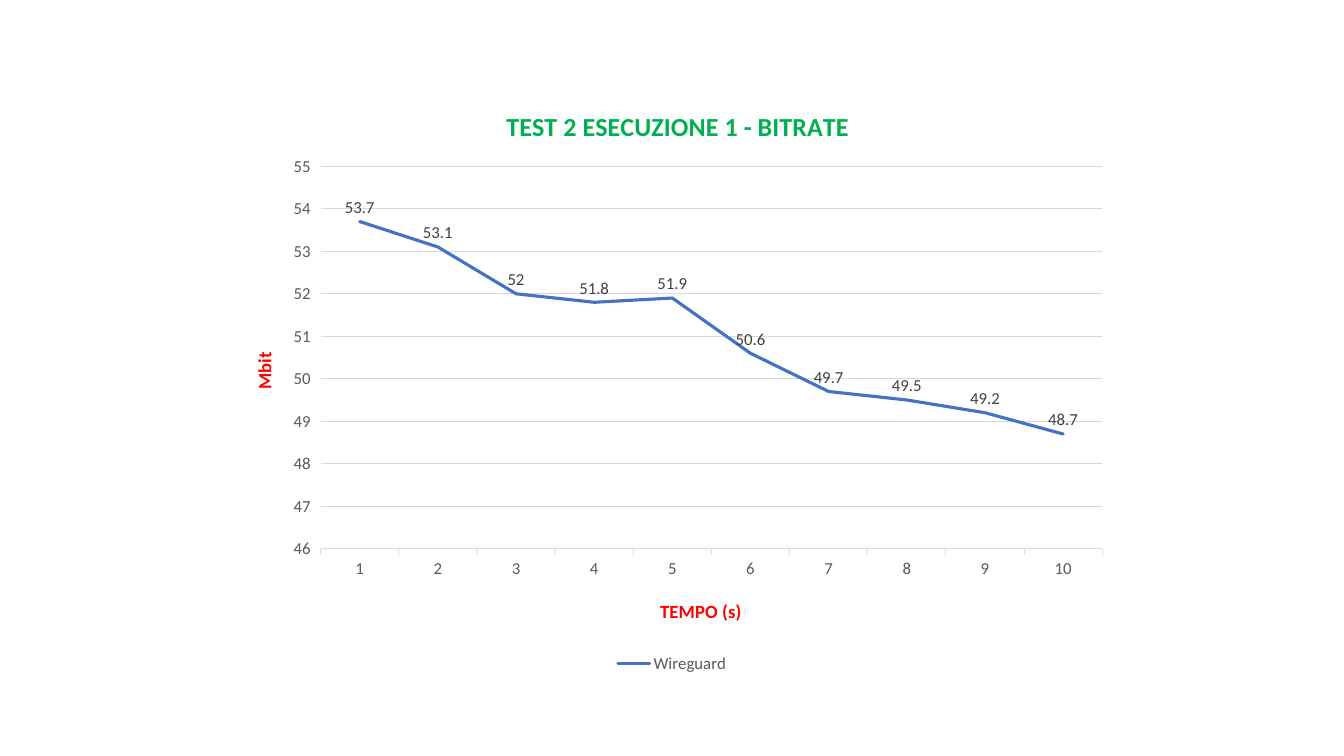
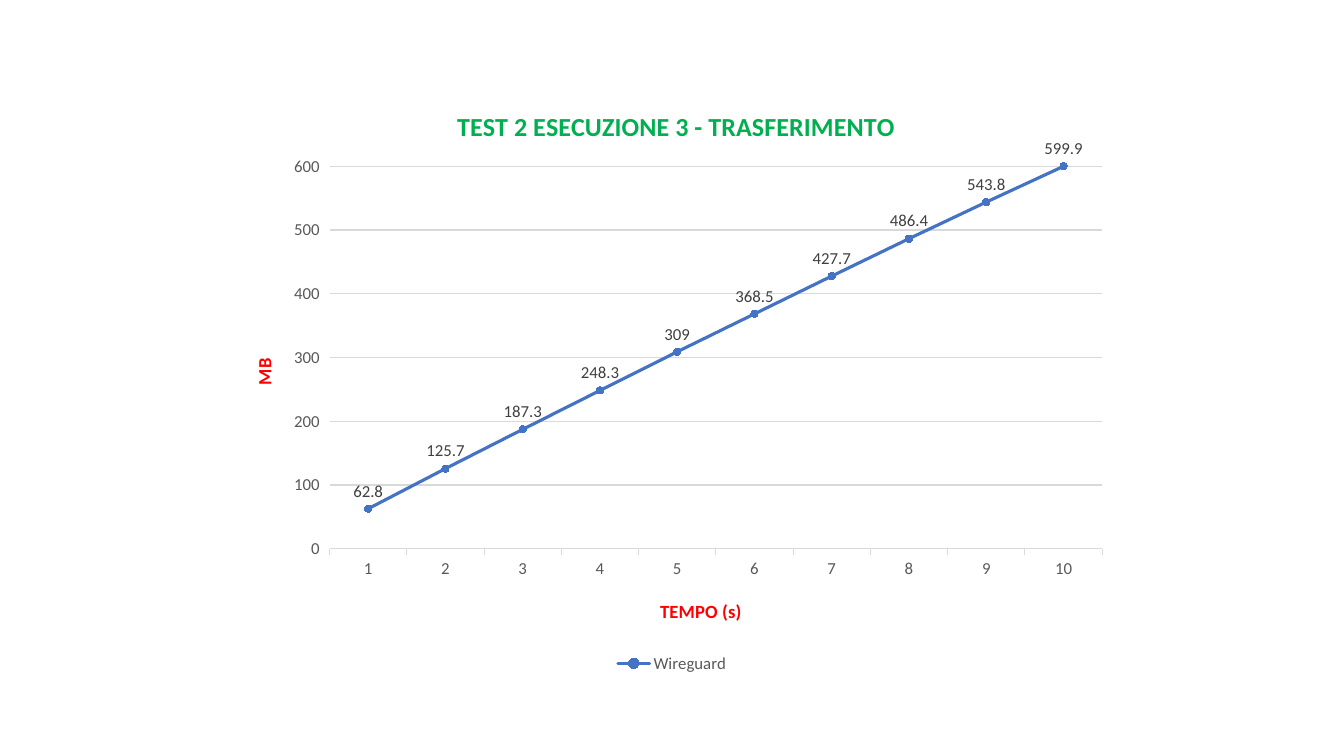
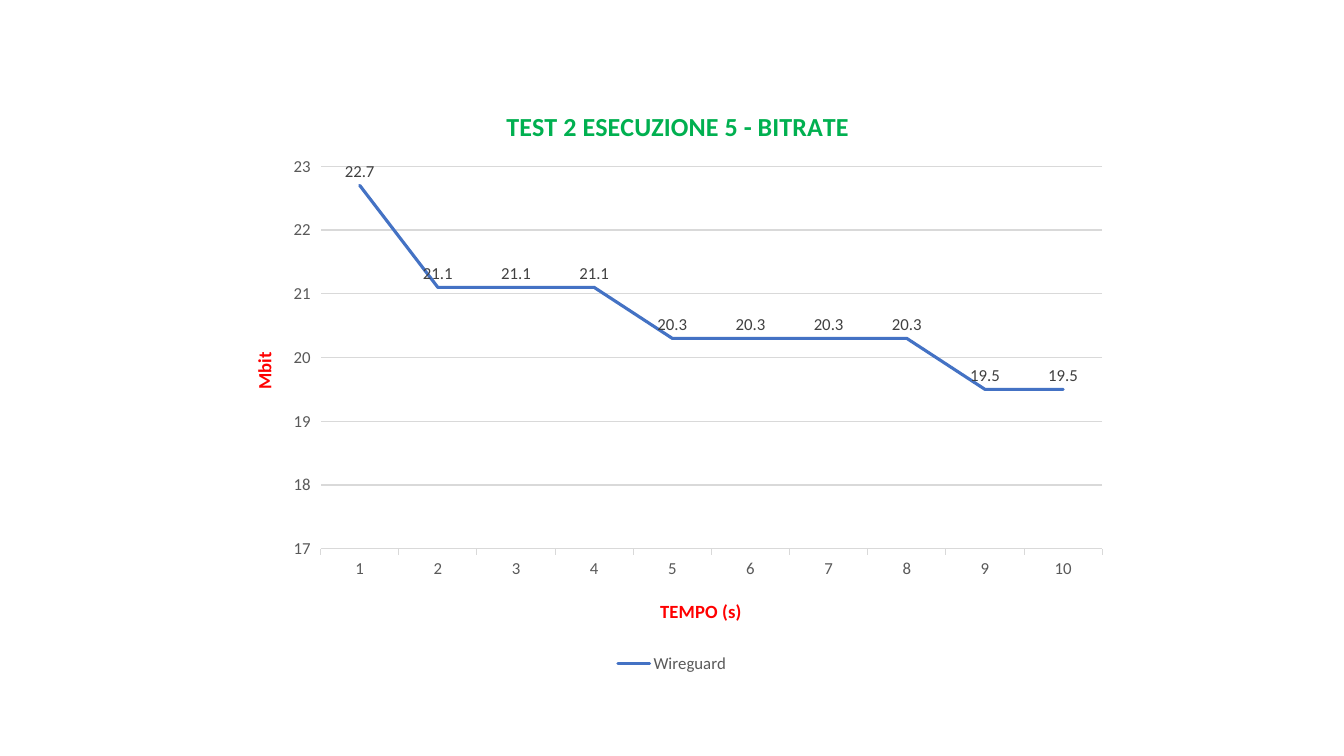
from lxml.etree import SubElement
from pptx import Presentation
from pptx.chart.data import CategoryChartData
from pptx.dml.color import RGBColor
from pptx.enum.chart import (
    XL_CHART_TYPE as ChartType,
    XL_LABEL_POSITION as LabelPosition,
    XL_LEGEND_POSITION as LegendPosition,
    XL_MARKER_STYLE as MarkerStyle,
    XL_TICK_MARK as TickMark,
)
from pptx.oxml.ns import qn
from pptx.util import Inches, Pt

COLORS = {
    "title": "00B050",
    "axis_title": "FF0000",
    "axis_text": "595959",
    "label": "404040",
    "grid": "D9D9D9",
    "series": "4472C4",
}
FONT = "Calibri"
SERIES_NAME = "Wireguard"
TIME_TITLE = "TEMPO (s)"
SECONDS = [str(second) for second in range(1, 11)]
CHART_BOX = (Inches(2.22), Inches(0.79), Inches(8.89), Inches(5.93))
PLOT_TOP, PLOT_RIGHT, PLOT_HEIGHT = 0.145, 0.98, 0.64

TESTS = [
    {
        "title": "TEST 2 ESECUZIONE 1 - BITRATE",
        "unit": "Mbit",
        "values": [53.7, 53.1, 52, 51.8, 51.9, 50.6, 49.7, 49.5, 49.2, 48.7],
        "scale": (46, 55, 1),
        "markers": False,
        "title_left": 0.31,
        "unit_top": 0.45,
        "plot_left": 0.108,
    },
    {
        "title": "TEST 2 ESECUZIONE 3 - TRASFERIMENTO",
        "unit": "MB",
        "values": [62.8, 125.7, 187.3, 248.3, 309, 368.5, 427.7, 486.4, 543.8, 599.9],
        "scale": (0, 600, 100),
        "markers": True,
        "title_left": 0.255,
        "unit_top": 0.46,
        "plot_left": 0.118,
    },
    {
        "title": "TEST 2 ESECUZIONE 5 - BITRATE",
        "unit": "Mbit",
        "values": [22.7, 21.1, 21.1, 21.1, 20.3, 20.3, 20.3, 20.3, 19.5, 19.5],
        "scale": (17, 23, 1),
        "markers": False,
        "title_left": 0.31,
        "unit_top": 0.45,
        "plot_left": 0.108,
    },
]


def rgb(role):
    return RGBColor.from_string(COLORS[role])


def style_font(font, size, role, bold=False):
    font.name = FONT
    font.size = Pt(size)
    font.bold = bold
    font.color.rgb = rgb(role)


def style_line(line, role, width):
    line.color.rgb = rgb(role)
    line.width = Pt(width)


def place(element, position, **settings):
    for old_layout in element.findall(qn("c:layout")):
        element.remove(old_layout)
    layout = SubElement(element, qn("c:layout"))
    manual = SubElement(layout, qn("c:manualLayout"))
    for tag, value in {**settings, "xMode": "edge", "yMode": "edge", **position}.items():
        SubElement(manual, qn(f"c:{tag}")).set("val", str(value))
    text = element.find(qn("c:tx"))
    element.insert(0 if text is None else element.index(text) + 1, layout)


def write_title(title, text, size, role, left, top):
    title.text_frame.text = text
    style_font(title.text_frame.paragraphs[0].runs[0].font, size, role, True)
    place(title._element, {"x": left, "y": top})


def style_axis(axis):
    axis.major_tick_mark = TickMark.OUTSIDE
    axis.minor_tick_mark = TickMark.NONE
    style_font(axis.tick_labels.font, 12, "axis_text")


def style_series(series, markers):
    series.smooth = False
    style_line(series.format.line, "series", 2.25)
    series.format.line._get_or_add_ln().set("cap", "rnd")
    if markers:
        series.marker.style = MarkerStyle.CIRCLE
        series.marker.size = 5
        series.marker.format.fill.solid()
        series.marker.format.fill.fore_color.rgb = rgb("series")
        style_line(series.marker.format.line, "series", 0.75)
    else:
        series.marker.style = MarkerStyle.NONE
    labels = series.data_labels
    labels.show_value = True
    labels.position = LabelPosition.ABOVE
    style_font(labels.font, 12, "label")


def add_test(slide, test):
    data = CategoryChartData()
    data.categories = SECONDS
    data.add_series(SERIES_NAME, test["values"])
    kind = ChartType.LINE_MARKERS if test["markers"] else ChartType.LINE
    chart = slide.shapes.add_chart(kind, *CHART_BOX, data).chart
    chart.font.name = FONT
    chart.font.size = Pt(10)
    chart.plots[0].vary_by_categories = False
    write_title(chart.chart_title, test["title"], 18.6, "title", test["title_left"], 0.04)

    time_axis, unit_axis = chart.category_axis, chart.value_axis
    for axis in (time_axis, unit_axis):
        style_axis(axis)
    style_line(time_axis.format.line, "grid", 0.75)
    unit_axis.format.line.fill.background()
    style_line(unit_axis.major_gridlines.format.line, "grid", 0.75)
    unit_axis.minimum_scale, unit_axis.maximum_scale, unit_axis.major_unit = test["scale"]
    write_title(time_axis.axis_title, TIME_TITLE, 13.3, "axis_title", 0.483, 0.863)
    write_title(unit_axis.axis_title, test["unit"], 13.3, "axis_title", 0.027, test["unit_top"])
    unit_axis.axis_title.text_frame._txBody.bodyPr.set("rot", "-5400000")

    chart.has_legend = True
    chart.legend.position = LegendPosition.BOTTOM
    chart.legend.include_in_layout = False
    style_font(chart.legend.font, 12, "axis_text")
    style_series(chart.plots[0].series[0], test["markers"])
    plot_box = {
        "x": test["plot_left"],
        "y": PLOT_TOP,
        "w": round(PLOT_RIGHT - test["plot_left"], 3),
        "h": PLOT_HEIGHT,
    }
    place(chart._chartSpace.chart.plotArea, plot_box, layoutTarget="inner")


def main():
    deck = Presentation()
    deck.slide_width, deck.slide_height = Inches(13.33), Inches(7.5)
    for test in TESTS:
        add_test(deck.slides.add_slide(deck.slide_layouts[6]), test)
    deck.save("out.pptx")


if __name__ == "__main__":
    main()
